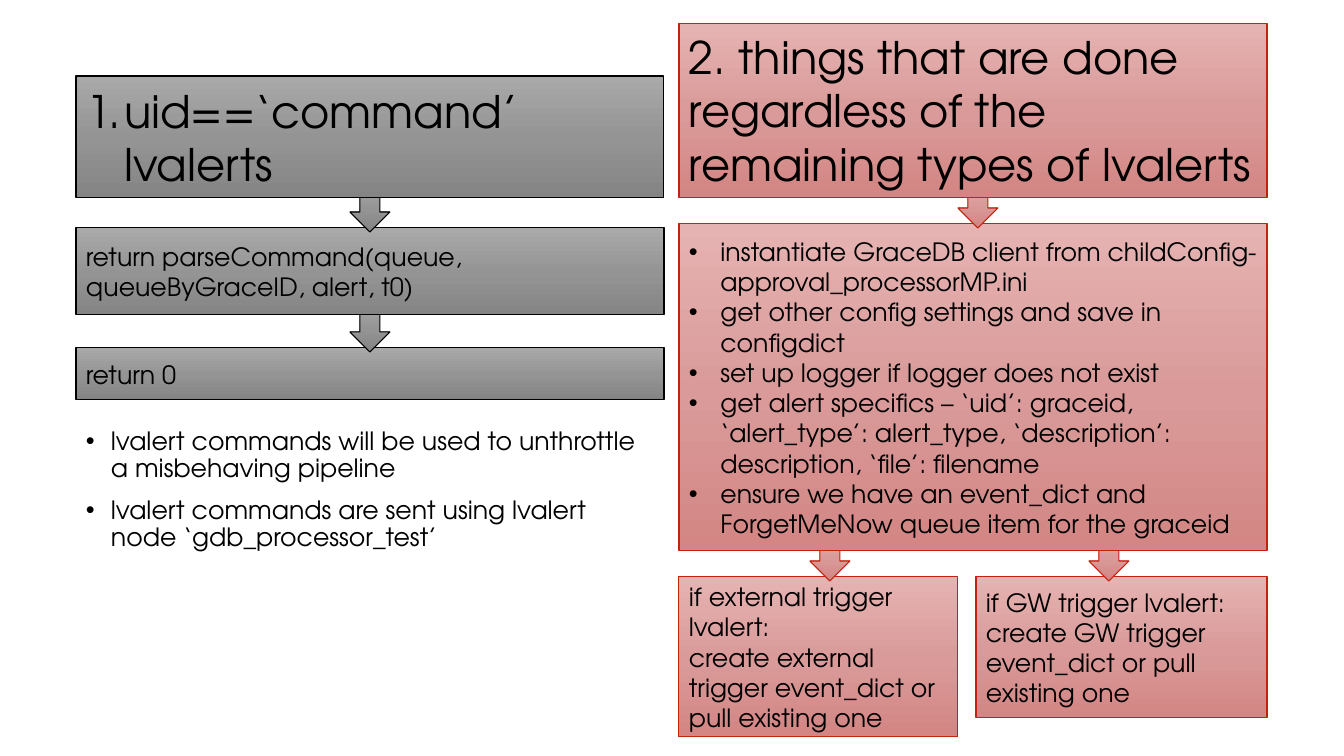
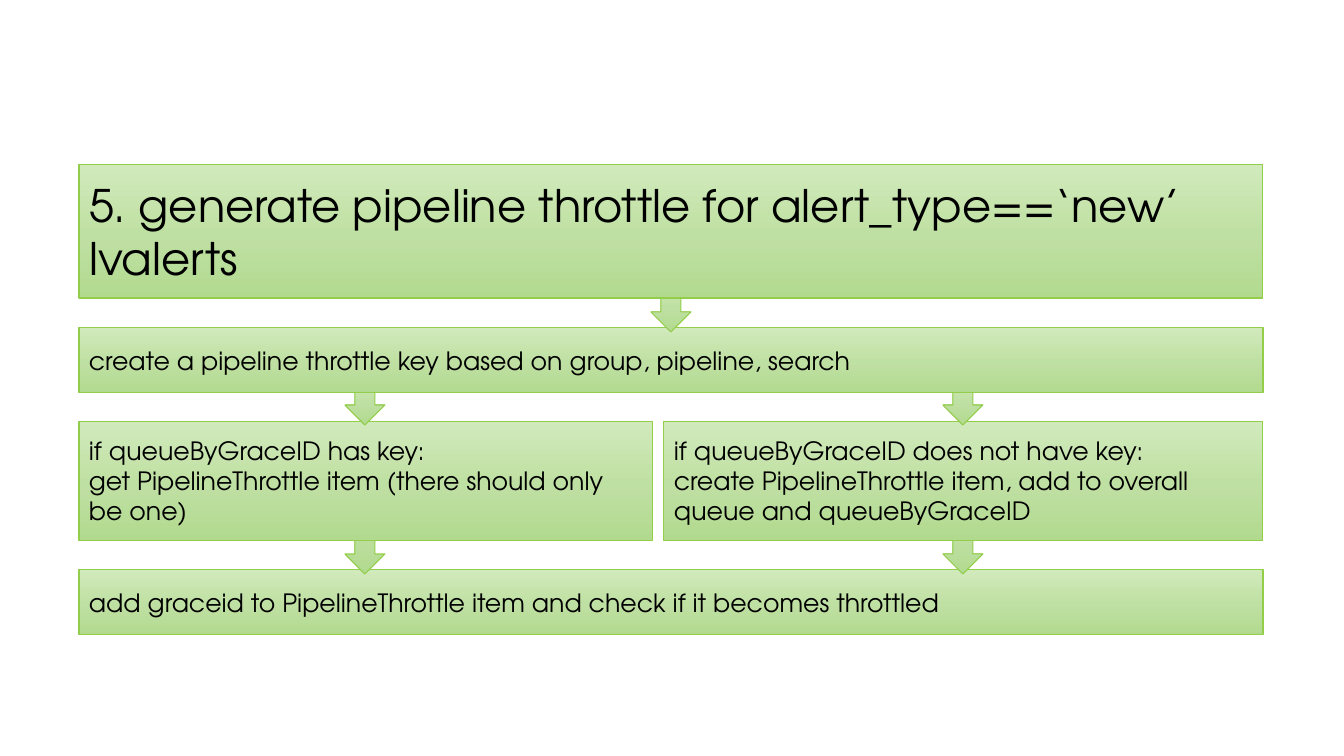
from copy import deepcopy

from lxml.etree import SubElement
from pptx import Presentation
from pptx.dml.color import RGBColor
from pptx.enum.shapes import MSO_SHAPE as SHAPE
from pptx.enum.text import MSO_ANCHOR as ANCHOR, MSO_AUTO_SIZE as FIT, PP_ALIGN as ALIGN
from pptx.oxml.ns import qn
from pptx.util import Pt

SCALE = 914400 / 100.8
FONT = "TeX Gyre Adventor"
TITLE, BODY = 32, 18
# Each theme: three gradient stops from top to bottom, then the outline.
GREY = ("A9A9A9", "949494", "848484", "000000")
RED = ("E5B3B2", "D99A99", "D38684", "C4220D")
GREEN = ("D1EABC", "BFE0A3", "B2DA8F", "92CE4A")
STOPS = (0, 0.52, 1)
HEAD_W, OVERLAP = 40, 4


def px(*vals):
    """Turn pixels into EMU."""
    return [round(val * SCALE) for val in vals]


def color(code):
    """Turn a hex string into a colour."""
    return RGBColor.from_string(code)


def paint(shape, theme):
    """Give a shape the gradient and outline of a theme."""
    fill = shape.fill
    fill.gradient()
    fill.gradient_angle = 270
    stops = shape._element.spPr.find(".//" + qn("a:gsLst"))
    stops.insert(1, deepcopy(stops[0]))
    for stop, place, code in zip(fill.gradient_stops, STOPS, theme):
        stop.position = place
        stop.color.rgb = color(code)
    shape.line.color.rgb = color(theme[-1])
    shape.line.width = Pt(0.75)


def mark(para, indent, number=False):
    """Hang a paragraph behind a bullet or an automatic number."""
    props = para._p.get_or_add_pPr()
    gap, = px(indent)
    props.set("marL", str(gap))
    props.set("indent", str(-gap))
    if number:
        SubElement(props, qn("a:buFont"), typeface="+mj-lt")
        SubElement(props, qn("a:buAutoNum"), type="arabicPeriod")
    else:
        SubElement(props, qn("a:buFont"), typeface="Arial")
        SubElement(props, qn("a:buChar"), char="•")


def write(shape, lines, size=BODY, anchor=ANCHOR.MIDDLE, indent=0,
          number=False, before=0, spacing=1.0):
    """Write one paragraph for each line."""
    frame = shape.text_frame
    frame.word_wrap = True
    frame.auto_size = FIT.NONE
    frame.vertical_anchor = anchor
    for i, line in enumerate(lines):
        para = frame.add_paragraph() if i else frame.paragraphs[0]
        para.alignment = ALIGN.LEFT
        para.space_before = Pt(before)
        para.line_spacing = spacing
        if indent:
            mark(para, indent, number)
        run = para.add_run()
        run.text = line
        run.font.name = FONT
        run.font.size = Pt(size)
        run.font.color.rgb = color("000000")


def box(slide, theme, area, *lines, **style):
    """Draw a process box with text."""
    shape = slide.shapes.add_shape(SHAPE.FLOWCHART_PROCESS, *px(*area))
    shape.shadow.inherit = False
    paint(shape, theme)
    write(shape, lines, **style)


def arrow(slide, theme, mid, target, length=48):
    """Draw a down arrow whose tip dips into the box that starts at target."""
    area = px(mid - HEAD_W / 2, target + OVERLAP - length, HEAD_W, length)
    shape = slide.shapes.add_shape(SHAPE.DOWN_ARROW, *area)
    shape.shadow.inherit = False
    paint(shape, theme)


def title(slide, theme, area, line, **style):
    """Make the title placeholder a box in front of its arrow."""
    shape = slide.shapes.title
    shape.left, shape.top, shape.width, shape.height = px(*area)
    paint(shape, theme)
    write(shape, [line], size=TITLE, **style)
    slide.shapes._spTree.append(shape._element)


def notes(slide, area, *lines):
    """Add a plain bulleted list."""
    shape = slide.shapes.add_textbox(*px(*area))
    write(shape, lines, anchor=ANCHOR.TOP, indent=25, before=10, spacing=0.9)


def commands(slide):
    """Build the command and common steps, lowest boxes first."""
    left, right, wide = 76, 679, 588
    fork, setup, parse, done = 577, 224, 228, 348
    box(slide, RED, (976, fork, 291, 141), "if GW trigger lvalert:",
        "create GW trigger event_dict or pull existing one")
    arrow(slide, RED, 1109, fork)
    box(slide, RED, (right, fork, 279, 160), "if external trigger lvalert:",
        "create external trigger event_dict or pull existing one")
    arrow(slide, RED, 830, fork)
    box(slide, RED, (right, setup, wide, 327),
        "instantiate GraceDB client from childConfig-approval_processorMP.ini",
        "get other config settings and save in configdict",
        "set up logger if logger does not exist",
        "get alert specifics – ‘uid’: graceid, ‘alert_type’: alert_type, "
        "‘description’: description, ‘file’: filename",
        "ensure we have an event_dict and ForgetMeNow queue item for the graceid",
        indent=31.5)
    arrow(slide, RED, 978, setup)
    box(slide, GREY, (left, done, wide, 52), "return 0")
    mid = left + wide / 2
    arrow(slide, GREY, mid, done)
    box(slide, GREY, (left, parse, wide, 87),
        "return parseCommand(queue, queueByGraceID, alert, t0)")
    arrow(slide, GREY, mid, parse)
    notes(slide, (left, 424, wide, 261),
          "lvalert commands will be used to unthrottle a misbehaving pipeline",
          "lvalert commands are sent using lvalert node ‘gdb_processor_test’")
    title(slide, GREY, (left, 76, wide, 122), "uid==‘command’ lvalerts",
          indent=38, number=True)
    box(slide, RED, (right, 23, wide, 174),
        "2. things that are done regardless of the remaining types of lvalerts",
        size=TITLE)


def throttle(slide):
    """Build the throttle steps, lowest boxes first."""
    left, wide = 79, 1184
    key, test, check = 328, 421, 570
    mids = (365, 963)
    box(slide, GREEN, (left, check, wide, 65),
        "add graceid to PipelineThrottle item and check if it becomes throttled")
    for mid, length in zip(mids, (96, 77)):
        arrow(slide, GREEN, mid, check, length)
    box(slide, GREEN, (664, test, 599, 119), "if queueByGraceID does not have key:",
        "create PipelineThrottle item, add to overall queue and queueByGraceID")
    box(slide, GREEN, (left, test, 573, 119), "if queueByGraceID has key:",
        "get PipelineThrottle item (there should only be one)")
    for mid in mids:
        arrow(slide, GREEN, mid, test)
    box(slide, GREEN, (left, key, wide, 65),
        "create a pipeline throttle key based on group, pipeline, search")
    arrow(slide, GREEN, left + wide / 2, key, 52)
    title(slide, GREEN, (left, 164, wide, 134),
          "5. generate pipeline throttle for alert_type==‘new’ lvalerts")


def main():
    """Build and save the slides."""
    deck = Presentation()
    deck.slide_width, deck.slide_height = px(1344, 756)
    for build in (commands, throttle):
        build(deck.slides.add_slide(deck.slide_layouts[5]))
    deck.save("out.pptx")


main()
